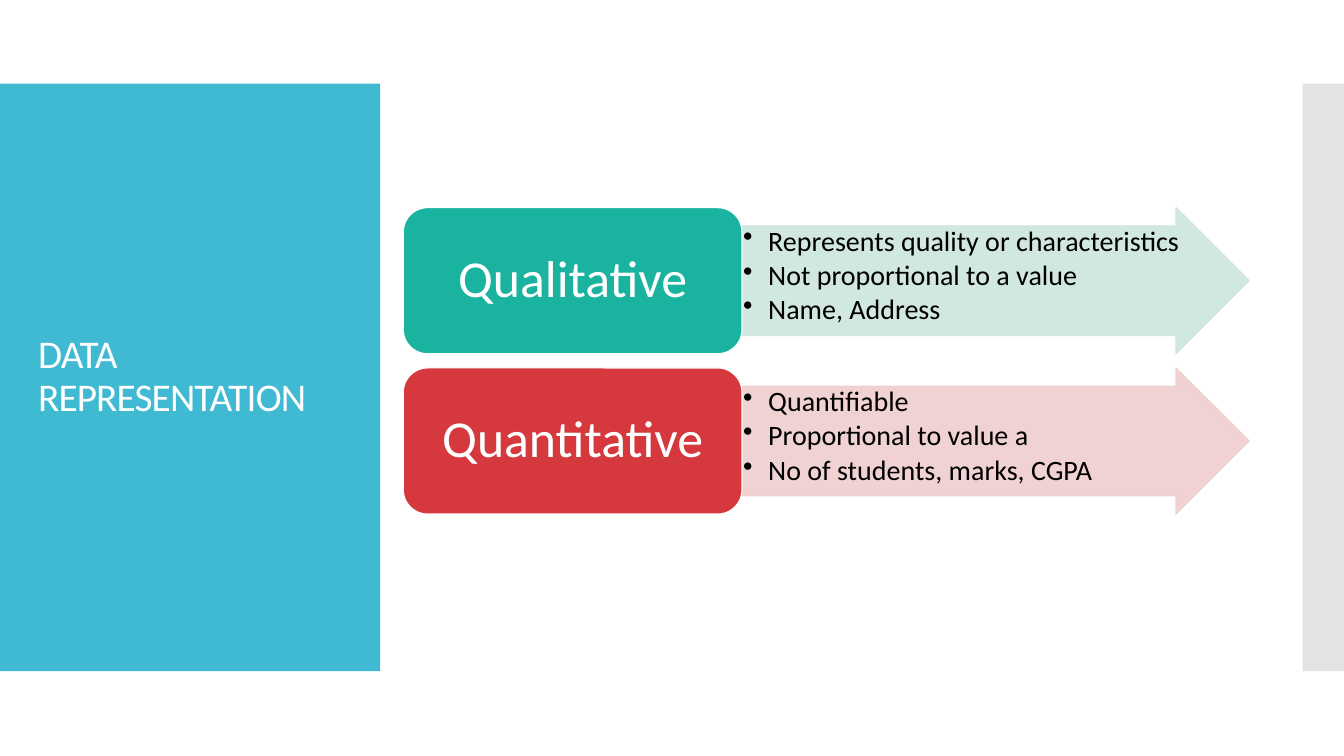
from dataclasses import dataclass

from lxml.etree import SubElement
from pptx import Presentation
from pptx.dml.color import RGBColor
from pptx.dml.fill import FillFormat
from pptx.enum.shapes import MSO_SHAPE as SHAPE
from pptx.enum.text import MSO_ANCHOR as ANCHOR, PP_ALIGN as ALIGN
from pptx.oxml.ns import qn
from pptx.shapes.autoshape import Shape
from pptx.shapes.shapetree import SlideShapes
from pptx.text.text import TextFrame, _Paragraph as Paragraph, _Run as Run
from pptx.util import Inches, Pt

WHITE = RGBColor(0xFF, 0xFF, 0xFF)
BLACK = RGBColor(0x00, 0x00, 0x00)
SKY = RGBColor(0x40, 0xBA, 0xD2)
GREY = RGBColor(0xC8, 0xC8, 0xC8)
TEAL = RGBColor(0x1A, 0xB3, 0x9F)
PALE_TEAL = RGBColor(0xCD, 0xE5, 0xDF)
RED = RGBColor(0xD5, 0x39, 0x3D)
PALE_RED = RGBColor(0xEF, 0xCE, 0xCF)

FONT = "Calibri"
PANEL_TOP, PANEL_HEIGHT = 0.83, 5.83
LABEL_LEFT, LABEL_WIDTH = 4, 3.36
ARROW_WIDTH = 5.03
ROW_TOP, ROW_HEIGHT, ROW_PITCH = 2.06, 1.45, 1.59


@dataclass(frozen=True)
class DataKind:
    name: str
    traits: tuple[str, ...]
    color: RGBColor
    pale: RGBColor


KINDS = (
    DataKind(
        "Qualitative",
        ("Represents quality or characteristics", "Not proportional to a value", "Name, Address"),
        TEAL,
        PALE_TEAL,
    ),
    DataKind(
        "Quantitative",
        ("Quantifiable", "Proportional to value a", "No of students, marks, CGPA"),
        RED,
        PALE_RED,
    ),
)


def paint(fill: FillFormat, color: RGBColor, opacity: int = 100) -> None:
    """Fill with a solid colour at the given opacity in percent."""
    fill.solid()
    fill.fore_color.rgb = color
    if opacity < 100:
        clr = fill._xPr.find(qn("a:solidFill"))[0]
        SubElement(clr, qn("a:alpha")).set("val", str(opacity * 1000))


def add_block(shapes: SlideShapes, preset: SHAPE, left: float, top: float, width: float,
              height: float, color: RGBColor, opacity: int = 100,
              outline: RGBColor | None = None) -> Shape:
    sp = shapes.add_shape(preset, Inches(left), Inches(top), Inches(width), Inches(height))
    sp.shadow.inherit = False
    paint(sp.fill, color, opacity)
    if outline is None:
        sp.line.fill.background()
    else:
        sp.line.width = Pt(0.85)
        paint(sp.line.fill, outline, opacity)
    return sp


def set_frame(tf: TextFrame, anchor: ANCHOR, side: float, edge: float) -> None:
    """Wrap the text and set its anchor and insets."""
    tf.word_wrap = True
    tf.vertical_anchor = anchor
    tf.margin_left = tf.margin_right = Inches(side)
    tf.margin_top = tf.margin_bottom = Inches(edge)


def write(p: Paragraph, text: str, size: float, color: RGBColor, align: ALIGN) -> Run:
    p.alignment = align
    p.line_spacing = 0.9
    r = p.add_run()
    r.text = text
    r.font.name = FONT
    r.font.size = Pt(size)
    r.font.color.rgb = color
    return r


def add_bullet(p: Paragraph) -> None:
    pPr = p._p.get_or_add_pPr()
    pPr.set("marL", str(Inches(0.25)))
    pPr.set("indent", str(Inches(-0.25)))
    SubElement(pPr, qn("a:buChar")).set("char", "•")


def add_title(shapes: SlideShapes, text: str) -> None:
    box = shapes.add_textbox(Inches(0.28), Inches(1.23), Inches(3.22), Inches(5.03))
    tf = box.text_frame
    set_frame(tf, ANCHOR.MIDDLE, 0.1, 0.05)
    r = write(tf.paragraphs[0], text, 28, WHITE, ALIGN.LEFT)
    r._r.get_or_add_rPr().set("spc", "-60")


def add_kind(shapes: SlideShapes, kind: DataKind, top: float) -> None:
    arrow = add_block(shapes, SHAPE.RIGHT_ARROW, LABEL_LEFT + LABEL_WIDTH, top, ARROW_WIDTH,
                      ROW_HEIGHT, kind.pale, 90, kind.pale)
    arrow.adjustments[0] = 0.75
    arrow.adjustments[1] = 0.5
    tf = arrow.text_frame
    set_frame(tf, ANCHOR.TOP, 0.01, 0.01)
    for i, trait in enumerate(kind.traits):
        p = tf.add_paragraph() if i else tf.paragraphs[0]
        write(p, trait, 20, BLACK, ALIGN.LEFT)
        p.space_after = Pt(3)
        add_bullet(p)

    label = add_block(shapes, SHAPE.ROUNDED_RECTANGLE, LABEL_LEFT, top, LABEL_WIDTH,
                      ROW_HEIGHT, kind.color, outline=WHITE)
    set_frame(label.text_frame, ANCHOR.MIDDLE, 0.15, 0.08)
    write(label.text_frame.paragraphs[0], kind.name, 37, WHITE, ALIGN.CENTER)


def main() -> None:
    prs = Presentation()
    prs.slide_width, prs.slide_height = Inches(13.33), Inches(7.5)
    shapes = prs.slides.add_slide(prs.slide_layouts[6]).shapes
    add_block(shapes, SHAPE.RECTANGLE, 0, PANEL_TOP, 3.77, PANEL_HEIGHT, SKY)
    add_block(shapes, SHAPE.RECTANGLE, 12.92, PANEL_TOP, 0.41, PANEL_HEIGHT, GREY, 50)
    add_title(shapes, "DATA REPRESENTATION")
    for i, kind in enumerate(KINDS):
        add_kind(shapes, kind, ROW_TOP + i * ROW_PITCH)
    prs.save("out.pptx")


if __name__ == "__main__":
    main()
